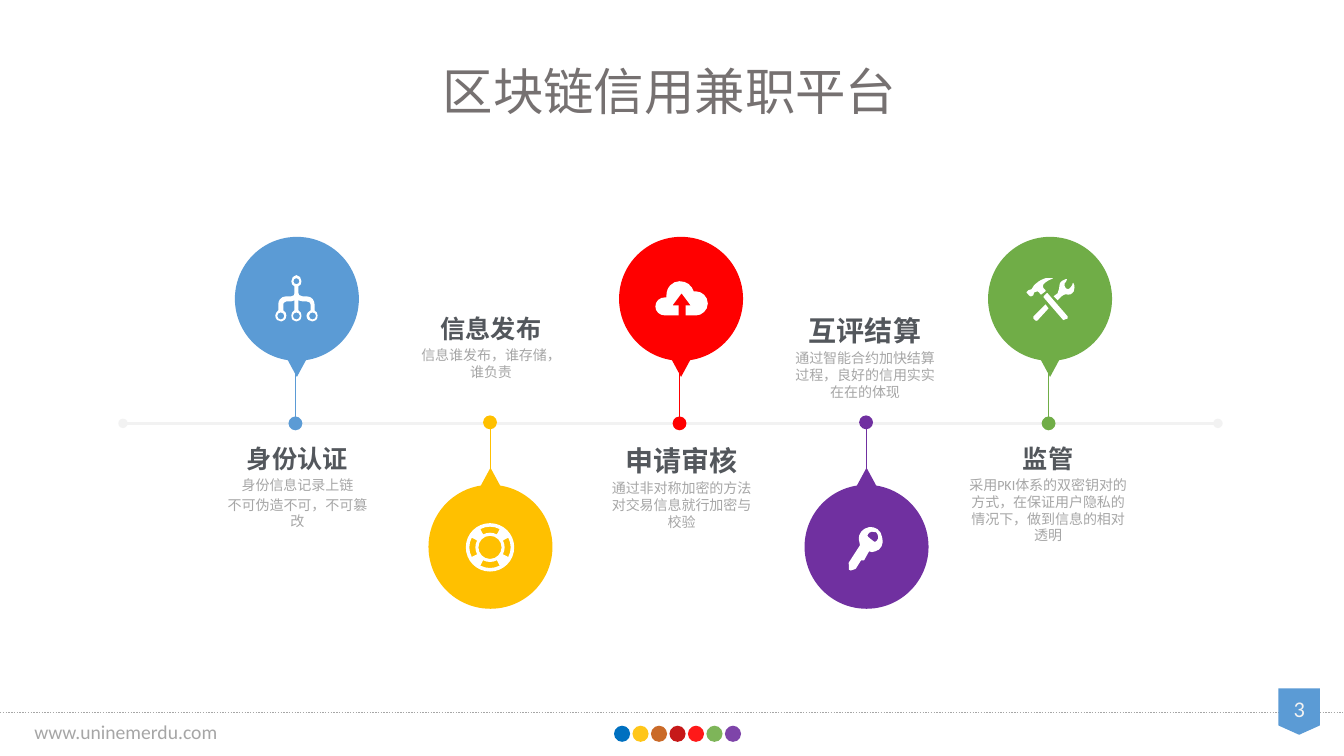
from dataclasses import dataclass
from math import ceil, cos, radians, sin, tan

from lxml import etree
from pptx import Presentation
from pptx.dml.color import RGBColor
from pptx.enum.dml import MSO_LINE
from pptx.enum.shapes import MSO_CONNECTOR, MSO_SHAPE
from pptx.enum.text import MSO_ANCHOR, MSO_AUTO_SIZE, PP_ALIGN
from pptx.oxml.ns import qn
from pptx.util import Inches, Pt

OVAL, TRIANGLE = MSO_SHAPE.OVAL, MSO_SHAPE.ISOSCELES_TRIANGLE
BADGE = MSO_SHAPE.FLOWCHART_OFFPAGE_CONNECTOR
STRAIGHT, DOTTED = MSO_CONNECTOR.STRAIGHT, MSO_LINE.ROUND_DOT
CENTER, LEFT, TOP = PP_ALIGN.CENTER, PP_ALIGN.LEFT, MSO_ANCHOR.TOP
GROW, FIXED = MSO_AUTO_SIZE.SHAPE_TO_FIT_TEXT, MSO_AUTO_SIZE.NONE


@dataclass(frozen=True)
class Theme:
    font: str = "Calibri"
    title: str = "767171"
    heading: tuple = ((0.21, "53575C"), (0.88, "C5C7CA"))
    muted: str = "A6A6A6"
    pale: str = "F2F2F2"
    white: str = "FFFFFF"
    blue: str = "5B9BD5"
    yellow: str = "FFC000"
    red: str = "FF0000"
    purple: str = "7030A0"
    green: str = "70AD47"
    footer_dots: tuple = ("0070C0", "FFC000", "C55A11", "C00000", "FF0000", "70AD47", "7030A0")
    title_size: int = 36
    number_size: int = 16
    footer_size: int = 14
    body_size: int = 10


THEME = Theme()


# Icon outlines in hundredths of an inch: two numbers are a corner, six a Bezier curve
def outline(text):
    return [tuple(float(value) for value in segment.split(",")) for segment in text.split()]


def arc(x, y, radius, start=0, end=360):
    count = ceil(abs(end - start) / 90)
    step = radians(end - start) / count
    reach = 4 / 3 * tan(step / 4)
    segments = [(x + radius * cos(radians(start)), y + radius * sin(radians(start)))]
    for index in range(count):
        a = radians(start) + index * step
        b = a + step
        curve = ((cos(a) - reach * sin(a), sin(a) + reach * cos(a)),
                 (cos(b) + reach * sin(b), sin(b) - reach * cos(b)), (cos(b), sin(b)))
        segments.append(tuple(v for u, w in curve for v in (x + radius * u, y + radius * w)))
    return segments


NETWORK = [outline(
    "39,35 39,29 39,26,37,21,31,21 27,21 24,21,23,19,23,18 23,11 25,11,26,8,26,6 "
    "26,3,24,0,21,0 18,0,16,3,16,6 16,8,17,11,19,11 19,18 19,19,19,21,16,21 11,21 "
    "5,21,3,26,3,29 3,35 2,36,0,38,0,40 0,44,3,46,6,46 8,46,11,44,11,40 11,38,10,36,8,35 "
    "8,29 8,29,8,26,11,26 16,26 17,26,18,25,19,25 19,35 17,36,16,38,16,40 16,44,18,46,21,46 "
    "24,46,26,44,26,40 26,38,25,36,23,35 23,25 24,25,25,26,27,26 31,26 34,26,35,28,35,29 "
    "35,35 33,36,31,38,31,40 31,44,34,46,37,46 40,46,42,44,42,40 42,38,41,36,39,35"),
    arc(21, 6, 3), *(arc(x, 40.5, 3.5) for x in (5.5, 21, 37))]
LIFEBUOY = [arc(24, 24, 24), arc(24, 24, 11.5),
            *(arc(24, 24, 20.5, a - 28, a + 28) + arc(24, 24, 14.5, a + 28, a - 28)
              for a in range(0, 360, 90))]
CLOUD = [outline(
    "40,10 39,10,38,10,38,10 36,4,31,0,24,0 17,0,11,6,11,14 11,16 10,16 4,16,0,20,0,25 "
    "0,30,4,34,10,34 23,34 23,24 17,24 26,12 35,24 30,24 30,34 40,34 46,34,52,29,52,22 "
    "52,15,46,10,40,10")]
KEY = [outline(
    "34,11 33,4,27,0,21,1 15,2,10,7,11,14 11,15,12,17,12,19 1,36 1,36,0,38,1,38 1,43 "
    "1,43,2,44,3,44 6,43 7,43,8,42,8,42 13,34 16,34 21,25 23,26,25,26,27,25 33,24,36,17,34,11"),
    outline("29,14 27,17,25,15,23,13 21,11,18,10,20,8 22,5,25,5,28,6 30,8,31,12,29,14")]
TOOLS = [outline(text) for text in (
    "8,14 10,12,12,13,14,16 14,17,15,16,15,16 19,13 19,12 17,10 13,4,29,0,26,0 19,0 "
    "16,1,12,3,10,5 8,6,7,8,7,8 6,8,7,10,5,11 4,12,3,11,2,12 0,14 0,14,3,18,4,18 5,18 "
    "7,17 7,17,7,15,8,14",
    "21,15 20,15 17,18 17,19 36,41 37,42,38,42,38,41 41,40 41,38",
    "47,6 47,4,47,5,46,5 46,6,45,8,44,9 43,10,42,12,39,10 37,8,38,6,38,5 39,5,40,2,40,2 "
    "41,1,40,1,39,1 39,1,33,3,33,6 32,9,33,12,31,15 27,18 31,22 35,18 36,17,38,16,39,16 "
    "43,17,45,16,47,13 48,11,48,7,47,6",
    "7,38 6,39,6,39,7,40 9,42 9,43,10,42,11,42 22,30 19,26")]


# Shared drawing helpers
def paint(shape, color, alpha=100):
    shape.shadow.inherit = False
    shape.fill.solid()
    shape.fill.fore_color.rgb = RGBColor.from_string(color)
    shape.line.fill.background()
    if alpha < 100:
        tint = shape.fill._xPr.find(".//" + qn("a:srgbClr"))
        etree.SubElement(tint, qn("a:alpha"), val=str(alpha * 1000))


def add_preset(shapes, kind, box, color, alpha=100):
    shape = shapes.add_shape(kind, *map(Inches, box))
    paint(shape, color, alpha)
    return shape


def add_line(shapes, start, end, color, width, ends=(), size="med"):
    line = shapes.add_connector(STRAIGHT, *map(Inches, start + end))
    line.line.color.rgb = RGBColor.from_string(color)
    line.line.width = Pt(width)
    for end_name in ends:
        etree.SubElement(line.line._get_or_add_ln(), qn(end_name), type="oval", w=size, len=size)
    etree.SubElement(line._element.spPr, qn("a:effectLst"))
    return line


def add_icon(shapes, contours, left, top):
    unit = Inches(0.01)
    builder = None
    for contour in contours:
        points = [(segment[i] * unit, segment[i + 1] * unit)
                  for segment in contour for i in range(0, len(segment), 2)]
        if builder is None:
            builder = shapes.build_freeform(*points[0], scale=1.0)
        else:
            builder.move_to(*points[0])
        builder.add_line_segments(points[1:], close=True)
    icon = builder.convert_to_shape(Inches(left), Inches(top))
    paint(icon, THEME.white)
    # Merge each three control points into one curve
    corners = iter(icon._element.findall(".//" + qn("a:lnTo")))
    for segment in (segment for contour in contours for segment in contour[1:]):
        corner = next(corners)
        if len(segment) == 6:
            corner.addprevious(curve := etree.Element(qn("a:cubicBezTo")))
            for control in (corner, next(corners), next(corners)):
                curve.append(control[0])
                control.getparent().remove(control)


def color_span(font, color):
    if isinstance(color, str):
        font.color.rgb = RGBColor.from_string(color)
        return
    font.fill.gradient()
    font.fill.gradient_angle = 270
    for stop, (position, shade) in zip(font.fill.gradient_stops, color):
        stop.position = position
        stop.color.rgb = RGBColor.from_string(shade)


def write(shape, box, lines, auto_size=GROW, **layout):
    """Each line is (text, size, color, bold)."""
    shape.left, shape.top, shape.width, shape.height = map(Inches, box)
    frame = shape.text_frame
    for name, value in {"word_wrap": True, "auto_size": auto_size, "vertical_anchor": TOP}.items():
        setattr(frame, name, value)
    for index, (text, size, color, bold) in enumerate(lines):
        para = frame.add_paragraph() if index else frame.paragraphs[0]
        for name, value in layout.items():
            setattr(para, name, value)
        span = para.add_run()
        span.text = text
        for name, value in {"size": Pt(size), "bold": bold, "name": THEME.font}.items():
            setattr(span.font, name, value)
        color_span(span.font, color)


def add_text(shapes, box, lines, **layout):
    write(shapes.add_textbox(0, 0, 0, 0), box, lines, **layout)


# Footer: dotted rule, page badge, colour dots, web address
def add_footer(page, left, top, width):
    shapes = page.shapes
    add_line(shapes, (left, top), (left + width, top), THEME.muted, 1).line.dash_style = DOTTED
    add_preset(shapes, BADGE, (left + width - 0.65, top - 0.24, 0.41, 0.46), THEME.blue)
    add_text(shapes, (left + width - 0.74, top - 0.19, 0.59, 0.34),
             [("3", THEME.number_size, THEME.pale, False)],
             alignment=CENTER, line_spacing=0.9, space_before=Pt(10))
    dots = shapes.add_group_shape().shapes
    for index, color in enumerate(THEME.footer_dots):
        box = (left + 6.09 + index * 1.1 / 6, top + 0.13, 0.16, 0.16)
        add_preset(dots, OVAL, box, color, 90 if index else 100)
    write(page.placeholders[1], (left + 0.24, top + 0.05, 2.13, 0.31),
          [("www.uninemerdu.com", THEME.footer_size, THEME.muted, False)],
          alignment=LEFT, line_spacing=0.9, space_before=Pt(10))


# One step: disc with pointer, stem to the axis, text across the axis, icon
def add_step(page, left, axis, above, color, icon, icon_at, heading, size, details,
             text_shift=-0.18, text_width=1.6):
    shapes = page.shapes.add_group_shape().shapes
    disc, pointer, stem, stem_end, stem_x, text = (
        (-1.85, -0.71, -0.52, 0, 0.6, 0.15) if above else (0.61, 0.44, 0.51, -0.01, 0.61, -1.14))
    add_preset(shapes, OVAL, (left, axis + disc, 1.23, 1.23), color)
    tip = add_preset(shapes, TRIANGLE, (left + 0.48, axis + pointer, 0.27, 0.25), color)
    if above:
        tip._element.spPr.xfrm.set("flipV", "1")
    add_line(shapes, (left + stem_x, axis + stem), (left + stem_x, axis + stem_end), color, 0.5,
             ("a:tailEnd",), "lg")
    lines = [(heading, size, THEME.heading, True)]
    lines += [(detail, THEME.body_size, THEME.muted, False) for detail in details]
    add_text(shapes, (left + text_shift, axis + text, text_width, 0.74),
             lines, auto_size=FIXED, alignment=CENTER, space_before=Pt(2))
    add_icon(shapes, icon, left + icon_at[0], axis + disc + icon_at[1])


def add_timeline(page, left, axis, width):
    add_line(page.shapes, (left, axis), (left + width, axis), THEME.pale, 2.25,
             ("a:headEnd", "a:tailEnd"))
    steps = [
        (1.11, THEME.blue, NETWORK, (0.4, 0.38), "身份认证", 18,
         ["身份信息记录上链", "不可伪造不可，不可篡改"]),
        (3.03, THEME.yellow, LIFEBUOY, (0.37, 0.38), "信息发布", 18, ["信息谁发布，谁存储，谁负责"]),
        (4.92, THEME.red, CLOUD, (0.36, 0.44), "申请审核", 20,
         ["通过非对称加密的方法对交易信息就行加密与校验"]),
        (6.76, THEME.purple, KEY, (0.43, 0.41), "互评结算", 20,
         ["通过智能合约加快结算过程，良好的信用实实在在的体现"], -0.2),
        (8.58, THEME.green, TOOLS, (0.38, 0.41), "监管", 18,
         ["采用PKI体系的双密钥对的方式，在保证用户隐私的情况下，做到信息的相对透明"], -0.31, 1.81),
    ]
    for index, (offset, *step) in enumerate(steps):
        add_step(page, left + offset, axis, index % 2 == 0, *step)


def main():
    deck = Presentation()
    deck.slide_width, deck.slide_height = Inches(13.33), Inches(7.5)
    page = deck.slides.add_slide(deck.slide_layouts[0])
    add_footer(page, 0, 7.07, 13.33)
    write(page.shapes.title, (3.34, 0.25, 6.6, 1),
          [("区块链信用兼职平台", THEME.title_size, THEME.title, False)],
          alignment=CENTER, line_spacing=1.5)
    add_timeline(page, 1.22, 4.2, 10.86)
    deck.save("out.pptx")


if __name__ == "__main__":
    main()
